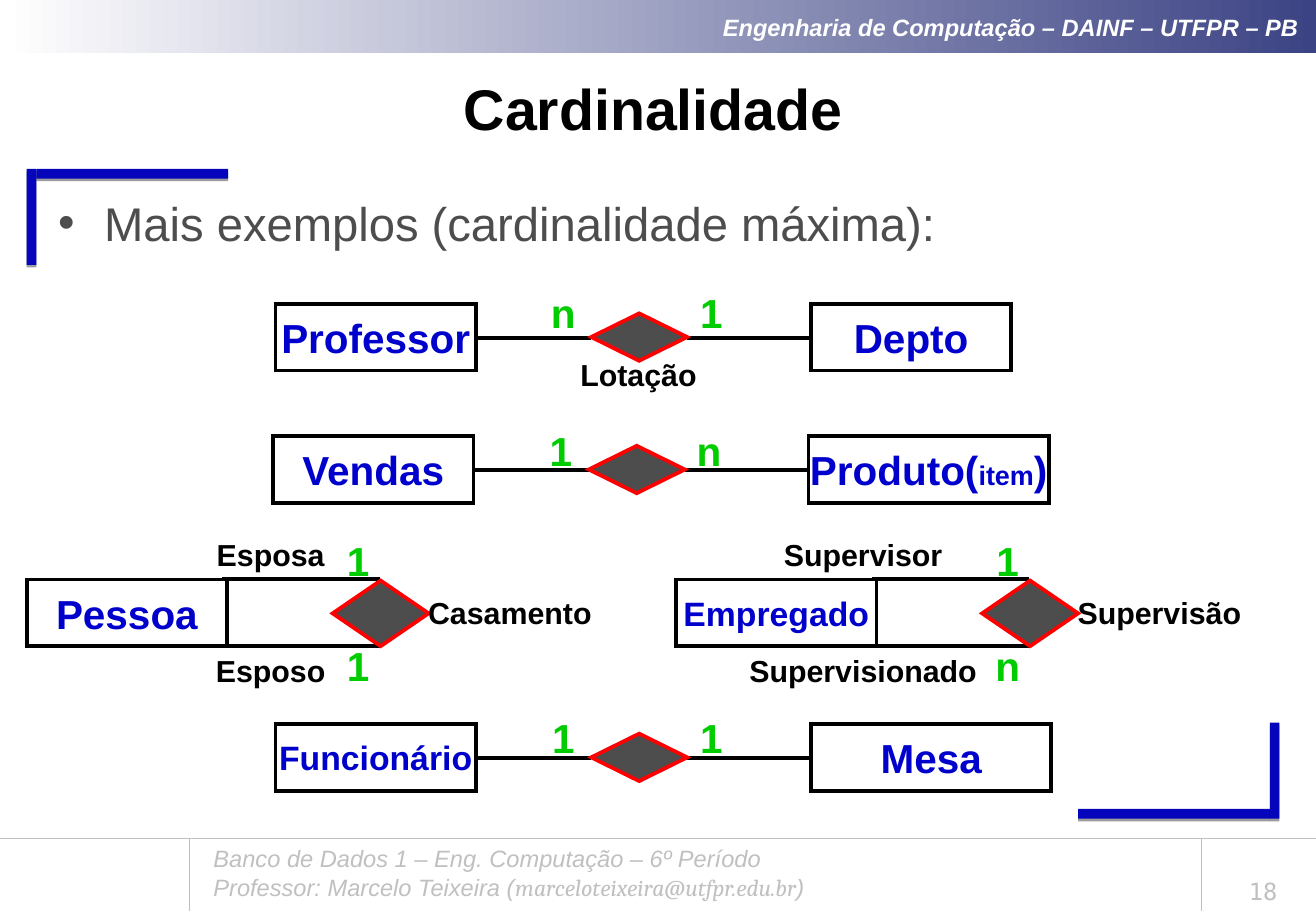
from lxml.etree import SubElement
from pptx import Presentation
from pptx.dml.color import RGBColor
from pptx.enum.shapes import MSO_CONNECTOR as Connector, MSO_SHAPE as Shape
from pptx.enum.text import MSO_ANCHOR as Anchor, PP_ALIGN as Align
from pptx.oxml.ns import qn
from pptx.util import Pt

PX = 9144  # EMU per px, 100 px to the inch
WIDTH, HEIGHT = 1084, 750
COLORS = {
    "white": "FFFFFF", "black": "000000", "navy": "3C4384", "bracket": "0505BB",
    "grey": "C0C0C0", "dark": "4D4D4D", "red": "FF0000", "blue": "0000CC",
    "green": "00CC00",
}
FORMATS = {
    "header": dict(size=14, bold=True, italic=True, color="white"),
    "footer": dict(size=14, italic=True, color="grey"),
    "email": dict(size=14, italic=True, color="grey", name="Cambria"),
    "number": dict(size=14, color="grey", name="DejaVu Sans Mono"),
    "title": dict(size=34, bold=True, color="black"),
    "body": dict(size=28, color="dark"),
    "entity": dict(size=24, bold=True, color="blue"),
    "long entity": dict(size=20, bold=True, color="blue"),
    "small entity": dict(size=16, bold=True, color="blue"),
    "label": dict(size=18, bold=True, color="black"),
    "cardinality": dict(size=24, bold=True, color="green"),
}


def rgb(color):
    return RGBColor.from_string(COLORS[color])


def emu(*lengths):
    return [length * PX for length in lengths]


def write(shape, paras, align=Align.CENTER, anchor=Anchor.MIDDLE,
          insets=(10, 5, 10, 5), wrap=True):
    """Fill a shape with paragraphs, each a list of (text, format) spans."""
    frame = shape.text_frame
    frame.word_wrap, frame.vertical_anchor = wrap, anchor
    for side, inset in zip(("left", "top", "right", "bottom"), insets):
        setattr(frame, f"margin_{side}", inset * PX)
    for index, spans in enumerate(paras):
        para = frame.add_paragraph() if index else frame.paragraphs[0]
        para.alignment = align
        for text, style in spans:
            span = para.add_run()
            span.text = text
            values = {"name": "Arial", **FORMATS[style]}
            span.font.color.rgb = rgb(values.pop("color"))
            values["size"] = Pt(values["size"])
            for key, value in values.items():
                setattr(span.font, key, value)
    return frame


def add_text(page, box, paras, **options):
    return write(page.shapes.add_textbox(*emu(*box)), paras, **options)


def add_box(page, kind, box, fill, line=None):
    shape = page.shapes.add_shape(kind, *emu(*box))
    shape.shadow.inherit = False
    shape.fill.solid()
    shape.fill.fore_color.rgb = rgb(fill)
    if line:
        shape.line.color.rgb = rgb(line)
        shape.line.width = Pt(2.25)
        SubElement(shape._element.spPr.find(qn("a:ln")), qn("a:miter"), lim="800000")
    else:
        shape.line.fill.background()
    return shape


def add_line(page, start, end, color="black", width=2.25):
    line = page.shapes.add_connector(Connector.STRAIGHT, *emu(*start, *end))
    line.line.color.rgb = rgb(color)
    line.line.width = Pt(width)
    SubElement(line._element.spPr, qn("a:effectLst"))


def add_bar(page, box):
    bar = add_box(page, Shape.RECTANGLE, box, "bracket")
    effects = bar._element.spPr.find(qn("a:effectLst"))
    shadow = SubElement(effects, qn("a:outerShdw"), blurRad="0", dist="20320",
                        dir="5400000", algn="t", rotWithShape="0")
    color = SubElement(shadow, qn("a:srgbClr"), val=COLORS["black"])
    SubElement(color, qn("a:alpha"), val="38000")


def add_header(page, box):
    band = add_box(page, Shape.RECTANGLE, box, "white")
    band.fill.gradient()
    band.fill.gradient_angle = 0
    for stop, color in zip(band.fill.gradient_stops, ("white", "navy")):
        stop.color.rgb = rgb(color)
    write(band, [[("Engenharia de Computação – DAINF – UTFPR – PB", "header")]],
          align=Align.RIGHT, insets=(10, 5, 14, 5))


def add_brackets(page, box):
    left, top, width, height = box
    right, bottom = left + width, top + height
    add_bar(page, (right - 166, bottom - 8, 158, 8))
    add_bar(page, (right - 8, bottom - 79, 8, 79))
    add_bar(page, (left + 8, top, 158, 8))
    add_bar(page, (left, top, 8, 79))


def add_footer(page, box):
    left, top, width, height = box
    for x in (156, 990):
        add_line(page, (left + x, top), (left + x, top + height), "grey", 0.75)
    add_line(page, (left, top), (left + width, top), "grey", 0.25)
    add_text(page, (left + 166, top, 754, 57), [
        [("Banco de Dados 1 – Eng. Computação – 6º Período", "footer")],
        [("Professor: Marcelo Teixeira (", "footer"),
         ("marceloteixeira@utfpr.edu.br", "email"), (")", "footer")],
    ], align=Align.LEFT, anchor=Anchor.TOP)
    add_text(page, (left + 997, top + 21, 87, 39), [[("18", "number")]],
             anchor=Anchor.BOTTOM)


def add_body(page, box):
    frame = add_text(page, box, [[("Mais exemplos (cardinalidade máxima):", "body")]],
                     align=Align.LEFT, anchor=Anchor.TOP)
    props = frame.paragraphs[0]._p.get_or_add_pPr()
    props.set("marL", str(38 * PX))
    props.set("indent", str(-38 * PX))
    SubElement(props, qn("a:buFont"), typeface="Arial")
    SubElement(props, qn("a:buChar"), char="•")


def add_entity(page, box, spans):
    entity = add_box(page, Shape.RECTANGLE, box, "white", "black")
    write(entity, [spans], insets=(4, 4, 4, 4), wrap=False)


def add_diamond(page, box):
    add_box(page, Shape.DIAMOND, box, "dark", "red")


def add_label(page, center, top, text):
    add_text(page, (center - 110, top, 220, 39), [[(text, "label")]],
             insets=(4, 4, 4, 4), wrap=False)


def add_cardinality(page, center, top, text):
    add_text(page, (center - 51, top, 102, 48), [[(text, "cardinality")]],
             anchor=Anchor.TOP, insets=(4, 4, 4, 4), wrap=False)


def add_binary(page, box, entities, cardinalities, rise, label=None):
    """Two entities joined through a diamond."""
    left, top, width, height = box
    middle = top + 28
    for start, end in ((165, 260), (339, 441)):
        add_line(page, (left + start, middle), (left + end, middle))
    add_diamond(page, (left + 260, top + 8, 79, 39))
    for x, entity_width, spans in zip((0, 441), (165, width - 441), entities):
        add_entity(page, (left + x, top, entity_width, height), spans)
    for x, text in zip((237, 359), cardinalities):
        add_cardinality(page, left + x, top - rise, text)
    if label:
        add_label(page, left + 299, top + 39, label)


def add_recursive(page, box, entity, label, roles, role_center, cardinalities):
    """One entity joined to itself through a diamond."""
    left, top, width, height = box
    for y in (top, top + height):
        add_line(page, (left + 161, y), (left + 291, y))
    add_entity(page, (left, top, 165, height), entity)
    add_diamond(page, (left + 252, top + 1, 79, height - 1))
    add_label(page, left + width - 59, top + 8, label)
    for y, role in zip((-40, height), roles):
        add_label(page, left + role_center, top + y, role)
    for y, text in zip((-40, height - 8), cardinalities):
        add_cardinality(page, left + 273, top + y, text)


def build_slide(deck):
    page = deck.slides.add_slide(deck.slide_layouts[6])
    # Frame of the slide
    add_header(page, (2, 0, WIDTH - 2, 44))
    add_brackets(page, (22, 139, 1032, 535))
    add_footer(page, (0, 690, WIDTH, 60))
    # Title and lead sentence
    add_text(page, (22, 54, 1032, 69), [[("Cardinalidade", "title")]])
    add_body(page, (38, 155, 1000, 63))
    # Relations between two entities
    add_binary(page, (227, 250, 606, 55),
               ([("Professor", "entity")], [("Depto", "entity")]),
               "n1", 17, "Lotação")
    add_binary(page, (225, 359, 639, 55),
               ([("Vendas", "entity")],
                [("Produto(", "entity"), ("item", "small entity"), (")", "entity")]),
               "1n", 12)
    add_binary(page, (227, 596, 639, 55),
               ([("Funcionário", "long entity")], [("Mesa", "entity")]),
               "11", 13)
    # Relations of an entity with itself
    add_recursive(page, (22, 477, 457, 55), [("Pessoa", "entity")],
                  "Casamento", ("Esposa", "Esposo"), 201, "11")
    add_recursive(page, (557, 477, 457, 55), [("Empregado", "long entity")],
                  "Supervisão", ("Supervisor", "Supervisionado"), 154, "1n")


def main():
    deck = Presentation()
    deck.slide_width, deck.slide_height = emu(WIDTH, HEIGHT)
    build_slide(deck)
    deck.save("out.pptx")


if __name__ == "__main__":
    main()
